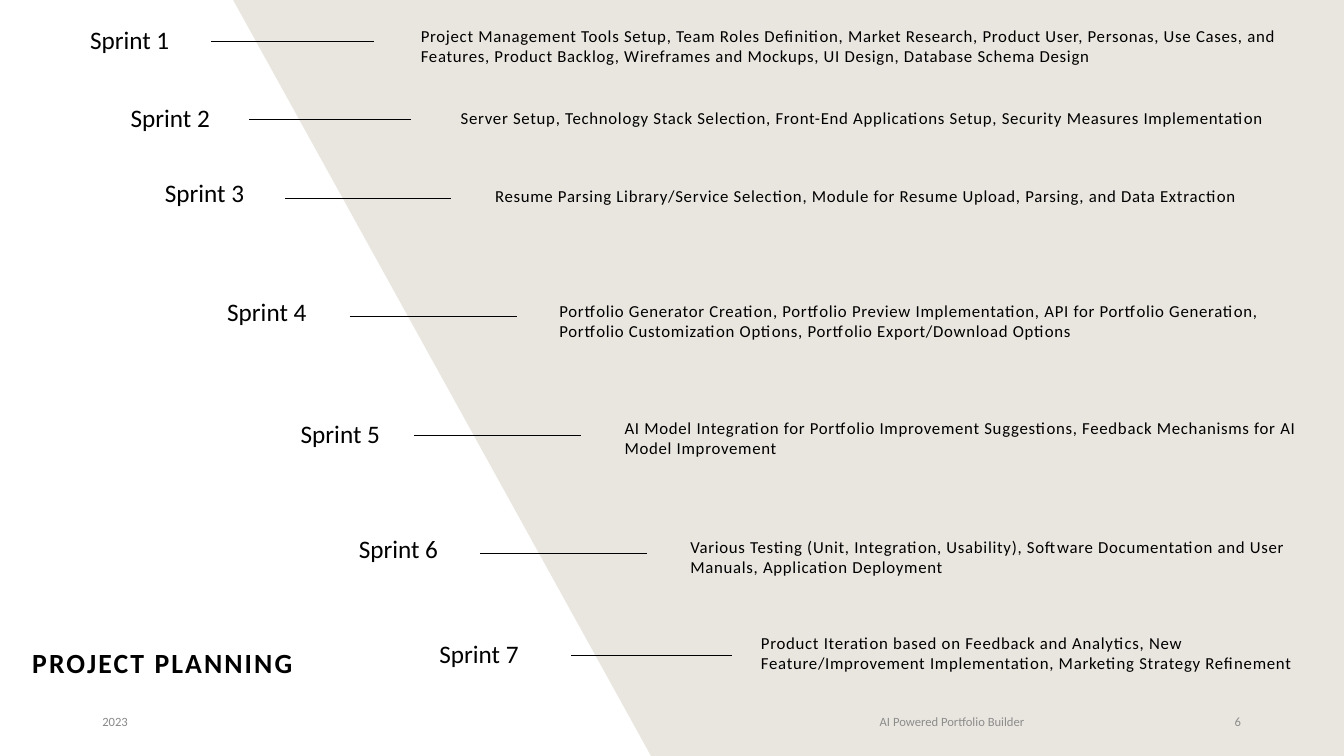
"""Build the sprint-by-sprint project planning slide."""
from lxml.etree import SubElement
from pptx import Presentation
from pptx.dml.color import RGBColor
from pptx.enum.shapes import MSO_CONNECTOR
from pptx.enum.text import MSO_ANCHOR, PP_ALIGN
from pptx.oxml.ns import qn
from pptx.util import Pt

BLACK = RGBColor(0x00, 0x00, 0x00)
BEIGE = RGBColor(0xE9, 0xE6, 0xDF)
DATE_GRAY = RGBColor(0x89, 0x89, 0x89)
FOOTER_GRAY = RGBColor(0x8C, 0x8C, 0x8C)
LABEL_WIDTH, LABEL_HEIGHT = 100, 40

presentation = Presentation()
presentation.slide_width = Pt(960)
presentation.slide_height = Pt(540)
slide = presentation.slides.add_slide(presentation.slide_layouts[6])


def add_text(text, *, left, top, width, height, size, color=BLACK, bold=False,
             align=PP_ALIGN.LEFT, anchor=MSO_ANCHOR.MIDDLE, line_spacing=1.0,
             letter_spacing=0):
    shape = slide.shapes.add_textbox(Pt(left), Pt(top), Pt(width), Pt(height))
    frame = shape.text_frame
    frame.word_wrap = True
    frame.vertical_anchor = anchor
    paragraph = frame.paragraphs[0]
    paragraph.alignment = align
    paragraph.line_spacing = line_spacing
    run = paragraph.add_run()
    run.text = text
    run.font.name = "Calibri"
    run.font.size = Pt(size)
    run.font.bold = bold
    run.font.color.rgb = color
    if letter_spacing:
        run.font._element.set("spc", str(round(letter_spacing * 100)))


builder = slide.shapes.build_freeform(Pt(465), Pt(540))
builder.add_line_segments([(Pt(166.5), 0), (Pt(960), 0), (Pt(960), Pt(540))], close=True)
panel = builder.convert_to_shape()
panel.shadow.inherit = False
panel.fill.solid()
panel.fill.fore_color.rgb = BEIGE
panel.line.fill.background()

# Each sprint: label right and middle, line start, end and height,
# description left, top and width, description.
sprints = [
    (128, 29.5, 151, 267, 29.5, 293.5, 15, 666,
     "Project Management Tools Setup, Team Roles Definition, Market Research, "
     "Product User, Personas, Use Cases, and Features, Product Backlog, "
     "Wireframes and Mockups, UI Design, Database Schema Design"),
    (157, 85, 178, 293.5, 85, 322, 73.5, 627,
     "Server Setup, Technology Stack Selection, Front-End Applications Setup, "
     "Security Measures Implementation"),
    (181.5, 139, 203.5, 322.5, 141.5, 346.5, 129, 580,
     "Resume Parsing Library/Service Selection, Module for Resume Upload, "
     "Parsing, and Data Extraction"),
    (226, 224, 250, 369.5, 226, 392.5, 211, 548,
     "Portfolio Generator Creation, Portfolio Preview Implementation, API for "
     "Portfolio Generation, Portfolio Customization Options, Portfolio "
     "Export/Download Options"),
    (278.5, 311, 296, 415, 311, 439, 294.5, 502,
     "AI Model Integration for Portfolio Improvement Suggestions, Feedback "
     "Mechanisms for AI Model Improvement"),
    (320, 393, 343, 462, 395, 486, 380, 463,
     "Various Testing (Unit, Integration, Usability), Software Documentation "
     "and User Manuals, Application Deployment"),
    (377.5, 468, 408, 523, 468, 536.5, 448.5, 412.5,
     "Product Iteration based on Feedback and Analytics, New "
     "Feature/Improvement Implementation, Marketing Strategy Refinement"),
]

for number, (label_right, label_middle, line_start, line_end, line_y,
             left, top, width, description) in enumerate(sprints, start=1):
    add_text(f"Sprint {number}", left=label_right - LABEL_WIDTH,
             top=label_middle - LABEL_HEIGHT / 2, width=LABEL_WIDTH,
             height=LABEL_HEIGHT, size=18, align=PP_ALIGN.RIGHT, line_spacing=0.9)
    connector = slide.shapes.add_connector(
        MSO_CONNECTOR.STRAIGHT, Pt(line_start), Pt(line_y), Pt(line_end), Pt(line_y))
    connector.line.color.rgb = BLACK
    connector.line.width = Pt(0.5)
    SubElement(connector._element.spPr, qn("a:effectLst"))
    add_text(description, left=left, top=top, width=width, height=40, size=12,
             anchor=MSO_ANCHOR.TOP, letter_spacing=0.5)

add_text("PROJECT PLANNING", left=8, top=444.5, width=216, height=55, size=19.8,
         bold=True, align=PP_ALIGN.CENTER, line_spacing=1.07, letter_spacing=1.5)

footers = [
    ("2023", 66, 216, DATE_GRAY, PP_ALIGN.LEFT),
    ("AI Powered Portfolio Builder", 531.5, 297, FOOTER_GRAY, PP_ALIGN.CENTER),
    ("6", 851, 42.5, FOOTER_GRAY, PP_ALIGN.RIGHT),
]
for text, left, width, color, align in footers:
    add_text(text, left=left, top=500.5, width=width, height=29, size=9,
             color=color, align=align)

presentation.save("out.pptx")
